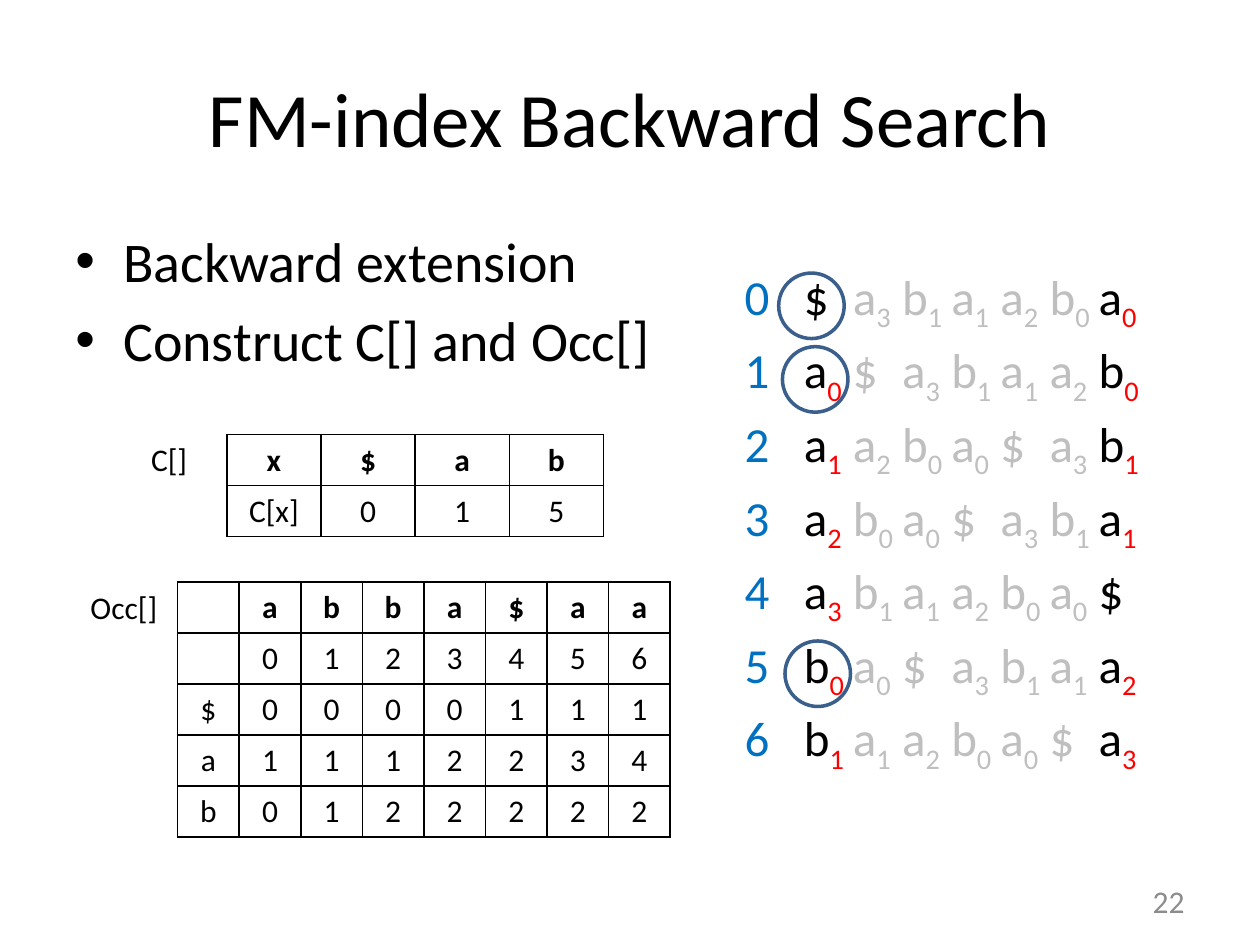
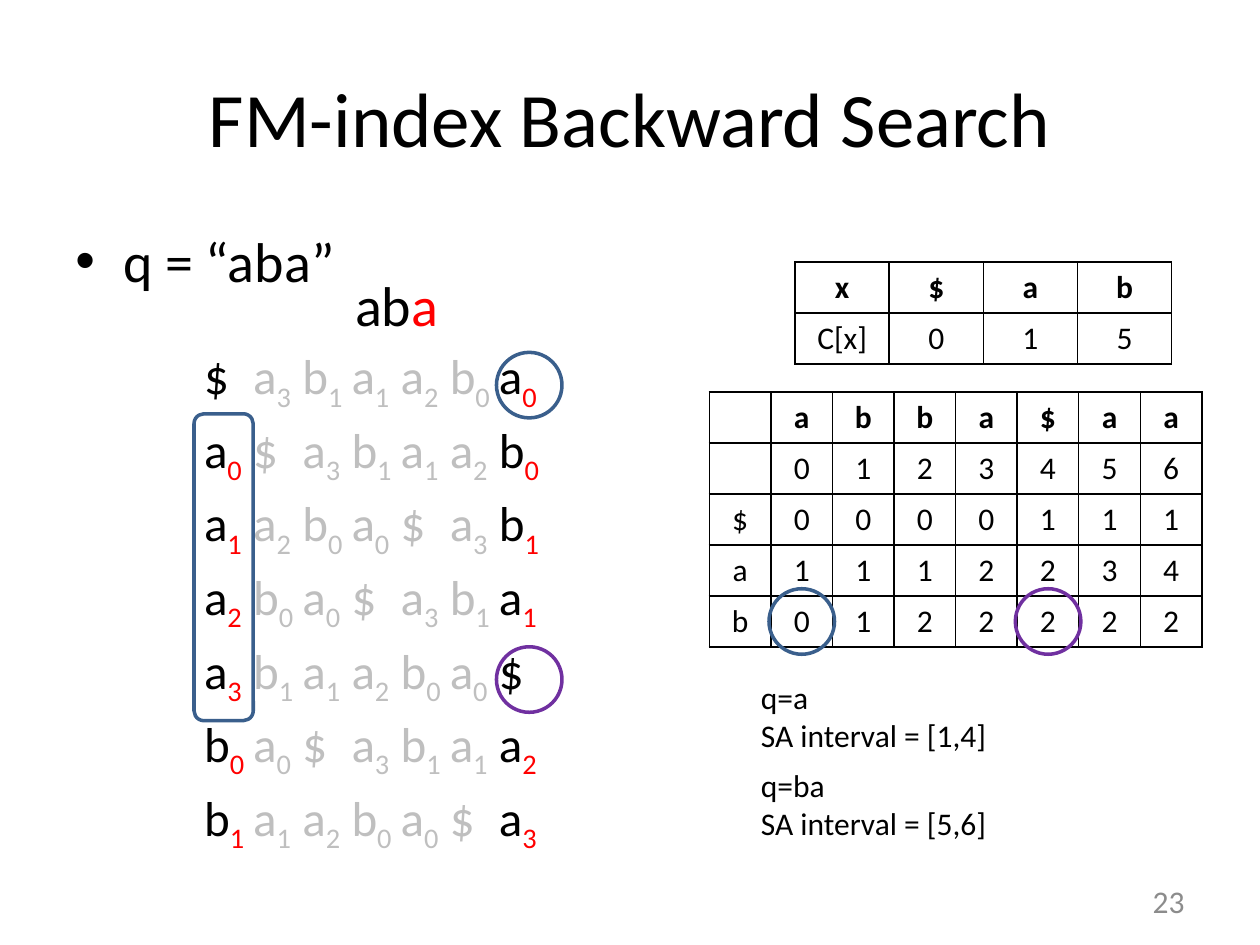
import pptx
import pptx.util
import pptx.dml.color
import pptx.enum.shapes
import pptx.enum.text
from collections import namedtuple
from lxml import etree

COLORS = {
    "text": "000000", "faded": "BFBFBF", "rank": "FF0000", "index": "0070C0",
    "ring": "3A5F8C", "ring2": "7030A0", "number": "8C8C8C", "paper": "FFFFFF",
}
FONT = "Calibri"
ALIGN = pptx.enum.text.PP_ALIGN
ANCHOR = pptx.enum.text.MSO_ANCHOR
SHAPE = pptx.enum.shapes.MSO_SHAPE
NAMESPACE = "http://schemas.openxmlformats.org/drawingml/2006/main"

# The slide is a grid of 100 columns by 75 rows
COLUMNS, ROWS = 100, 75
CELL = pptx.util.Inches(0.1)
Box = namedtuple("Box", "left top width height")
Run = namedtuple("Run", "text color subscript", defaults=("text", False))

TITLE_BOX = Box(5, 3, 90, 12.5)
BODY_BOX = Box(5, 17.5, 90, 49.5)
NUMBER_BOX = Box(71.7, 69.5, 23.3, 4)

# The text in cyclic order; sorting its ranked symbols sorts its rotations
CYCLE = ["$", "a3", "b1", "a1", "a2", "b0", "a0"]
STARTS = [CYCLE.index(symbol) for symbol in sorted(CYCLE)]
ROTATIONS = [CYCLE[start:] + CYCLE[:start] for start in STARTS]
LAST_COLUMN = [rotation[-1][0] for rotation in ROTATIONS]
COUNT_TABLE = [["x", "$", "a", "b"], ["C[x]", "0", "1", "5"]]
OCCURRENCE_TABLE = [["", *LAST_COLUMN], ["", *map(str, range(len(CYCLE)))]] + [
    [letter] + [str(LAST_COLUMN[:end].count(letter)) for end in range(1, len(CYCLE) + 1)]
    for letter in "$ab"
]

TABLE_ROW = 4.05
ROTATION_ROW = 5.84
SYMBOL_STEP = 3.9
INDEX_STEP = 4.7
RING_SIZE = 5.2


def units(length):
    return int(length * CELL)


def place(box):
    return [units(length) for length in box]


def rgb(name):
    return pptx.dml.color.RGBColor.from_string(COLORS[name])


def add_element(parent, tag, **attributes):
    return etree.SubElement(parent, f"{{{NAMESPACE}}}{tag}", **attributes)


def write_text(frame, paragraphs, size=18, color="text", bold=False, align=ALIGN.LEFT,
               bullet=False, tabs=(), space_before=0):
    """Each paragraph is a string or a list of runs."""
    for position, content in enumerate(paragraphs):
        paragraph = frame.paragraphs[0] if position == 0 else frame.add_paragraph()
        properties = paragraph._p.get_or_add_pPr()
        if bullet:
            indent = pptx.util.Inches(0.38)
            properties.set("marL", str(indent))
            properties.set("indent", str(-indent))
            add_element(properties, "buFont", typeface="Arial")
            add_element(properties, "buChar", char="•")
        if tabs:
            tab_list = add_element(properties, "tabLst")
            for stop in tabs:
                add_element(tab_list, "tab", pos=str(units(stop)), algn="l")
        paragraph.alignment = align
        if position and space_before:
            paragraph.space_before = pptx.util.Pt(space_before)
        runs = [Run(content, color)] if isinstance(content, str) else content
        for item in runs:
            run = paragraph.add_run()
            run.text = item.text
            run.font.name = FONT
            run.font.size = pptx.util.Pt(size)
            run.font.bold = bold
            run.font.color.rgb = rgb(item.color)
            if item.subscript:
                run._r.get_or_add_rPr().set("baseline", "-25000")


def add_text(slide, box, paragraphs, anchor=ANCHOR.TOP, wrap=True, **text_format):
    frame = slide.shapes.add_textbox(*place(box)).text_frame
    frame.word_wrap = wrap
    if not wrap:
        frame.auto_size = pptx.enum.text.MSO_AUTO_SIZE.SHAPE_TO_FIT_TEXT
    frame.vertical_anchor = anchor
    write_text(frame, paragraphs, **text_format)


def add_outline(slide, kind, box, color="ring"):
    shape = slide.shapes.add_shape(kind, *place(box))
    shape.shadow.inherit = False
    shape.fill.background()
    shape.line.color.rgb = rgb(color)
    shape.line.width = pptx.util.Pt(2)


def add_ring(slide, center_x, center_y, color="ring"):
    half = RING_SIZE / 2
    box = Box(center_x - half, center_y - half, RING_SIZE, RING_SIZE)
    add_outline(slide, SHAPE.OVAL, box, color)


def style_cell(cell, border):
    cell.fill.background()
    properties = cell._tc.get_or_add_tcPr()
    for order, side in enumerate(("lnL", "lnR", "lnT", "lnB")):
        line = add_element(properties, side, w=str(pptx.util.Pt(1)))
        add_element(add_element(line, "solidFill"), "srgbClr", val=COLORS[border])
        properties.insert(order, line)


def add_grid(slide, box, row_count, column_count, border):
    """Adds an evenly divided table and returns it with plain bordered cells."""
    table = slide.shapes.add_table(row_count, column_count, *place(box)).table
    table.first_row = table.horz_banding = False
    for column in table.columns:
        column.width = units(box.width / column_count)
    for row in table.rows:
        row.height = units(box.height / row_count)
    for cell in table.iter_cells():
        style_cell(cell, border)
    return table


# Value tables: C[] and Occ[]
def add_values(slide, left, top, width, values, rings=()):
    box = Box(left, top, width, TABLE_ROW * len(values))
    table = add_grid(slide, box, len(values), len(values[0]), "text")
    for row, line in enumerate(values):
        for column, value in enumerate(line):
            write_text(table.cell(row, column).text_frame, [value],
                       bold=row == 0, align=ALIGN.CENTER)
    step = width / len(values[0])
    for row, column, color in rings:
        add_ring(slide, left + (column + 0.5) * step, top + (row + 0.5) * TABLE_ROW, color)


# Sorted rotations, first and last columns emphasised
def rotation_runs(rotation, index=None):
    runs = [] if index is None else [Run(str(index), "index")]
    for position, symbol in enumerate(rotation):
        outer = position in (0, len(rotation) - 1)
        letter, rank = symbol[0], symbol[1:]
        gap = "\t" if runs else ""
        runs.append(Run(gap + letter, "text" if outer else "faded"))
        if rank:
            runs.append(Run(rank, "rank" if outer else "faded", True))
    return runs


def add_rotations(slide, left, top, width, numbered=False, rings=()):
    """Rings are (row, distance from the left edge, color)."""
    count = len(ROTATIONS)
    box = Box(left, top, width, ROTATION_ROW * count)
    table = add_grid(slide, box, count, 1, "paper")
    first = INDEX_STEP if numbered else 0
    tabs = [first + SYMBOL_STEP * step for step in range(0 if numbered else 1, count)]
    for row, rotation in enumerate(ROTATIONS):
        cell = table.cell(row, 0)
        cell.vertical_anchor = ANCHOR.MIDDLE
        cell.margin_left = cell.margin_right = cell.margin_top = units(0.1)
        cell.margin_bottom = 0
        runs = rotation_runs(rotation, row if numbered else None)
        write_text(cell.text_frame, [runs], size=28, tabs=tabs)
    for row, offset, color in rings:
        add_ring(slide, left + offset, top + (row + 0.5) * ROTATION_ROW + 0.35, color)


# Parts that every slide shares
def add_base(presentation, number, bullets):
    slide = presentation.slides.add_slide(presentation.slide_layouts[6])
    add_text(slide, TITLE_BOX, ["FM-index Backward Search"], size=44,
             align=ALIGN.CENTER, anchor=ANCHOR.MIDDLE)
    add_text(slide, BODY_BOX, bullets, size=32, bullet=True, space_before=6.4)
    add_text(slide, NUMBER_BOX, [str(number)], color="number",
             align=ALIGN.RIGHT, anchor=ANCHOR.MIDDLE)
    return slide


def add_construction_slide(presentation):
    slide = add_base(presentation, 22, ["Backward extension", "Construct C[] and Occ[]"])
    add_rotations(slide, 59, 21, 35.4, numbered=True,
                  rings=[(0, 5.4, "ring"), (1, 5.7, "ring"), (5, 5.9, "ring")])
    add_values(slide, 18, 34.5, 29.9, COUNT_TABLE)
    add_values(slide, 14.1, 46.2, 39.1, OCCURRENCE_TABLE)
    add_text(slide, Box(11, 34.4, 5.5, 4), ["C[]"], wrap=False)
    add_text(slide, Box(6.2, 46.2, 7.4, 4), ["Occ[]"], wrap=False)


def add_query_slide(presentation):
    slide = add_base(presentation, 23, ["q = “aba”"])
    left, top = 16.1, 27.3
    add_rotations(slide, left, top, 31.5, rings=[(0, 25.9, "ring"), (4, 25.9, "ring2")])
    add_text(slide, Box(27.2, 21, 8.7, 6.4), [[Run("ab"), Run("a", "rank")]],
             size=32, wrap=False)
    # Interval of rows that start with a
    add_outline(slide, SHAPE.ROUNDED_RECTANGLE,
                Box(left - 0.7, top + ROTATION_ROW - 0.3, 4.7, 4 * ROTATION_ROW + 1))
    add_values(slide, 63.1, 20.8, 29.9, COUNT_TABLE)
    add_values(slide, 56.3, 31.1, 39.1, OCCURRENCE_TABLE,
               rings=[(4, 1, "ring"), (4, 5, "ring2")])
    for step, (query, interval) in enumerate([("a", "[1,4]"), ("ba", "[5,6]")]):
        add_text(slide, Box(59.4, 53.3 + 7 * step, 20.1, 7.1),
                 [f"q={query}", f"SA interval = {interval}"], wrap=False)


def main():
    presentation = pptx.Presentation()
    presentation.slide_width = units(COLUMNS)
    presentation.slide_height = units(ROWS)
    add_construction_slide(presentation)
    add_query_slide(presentation)
    presentation.save("out.pptx")


if __name__ == "__main__":
    main()
